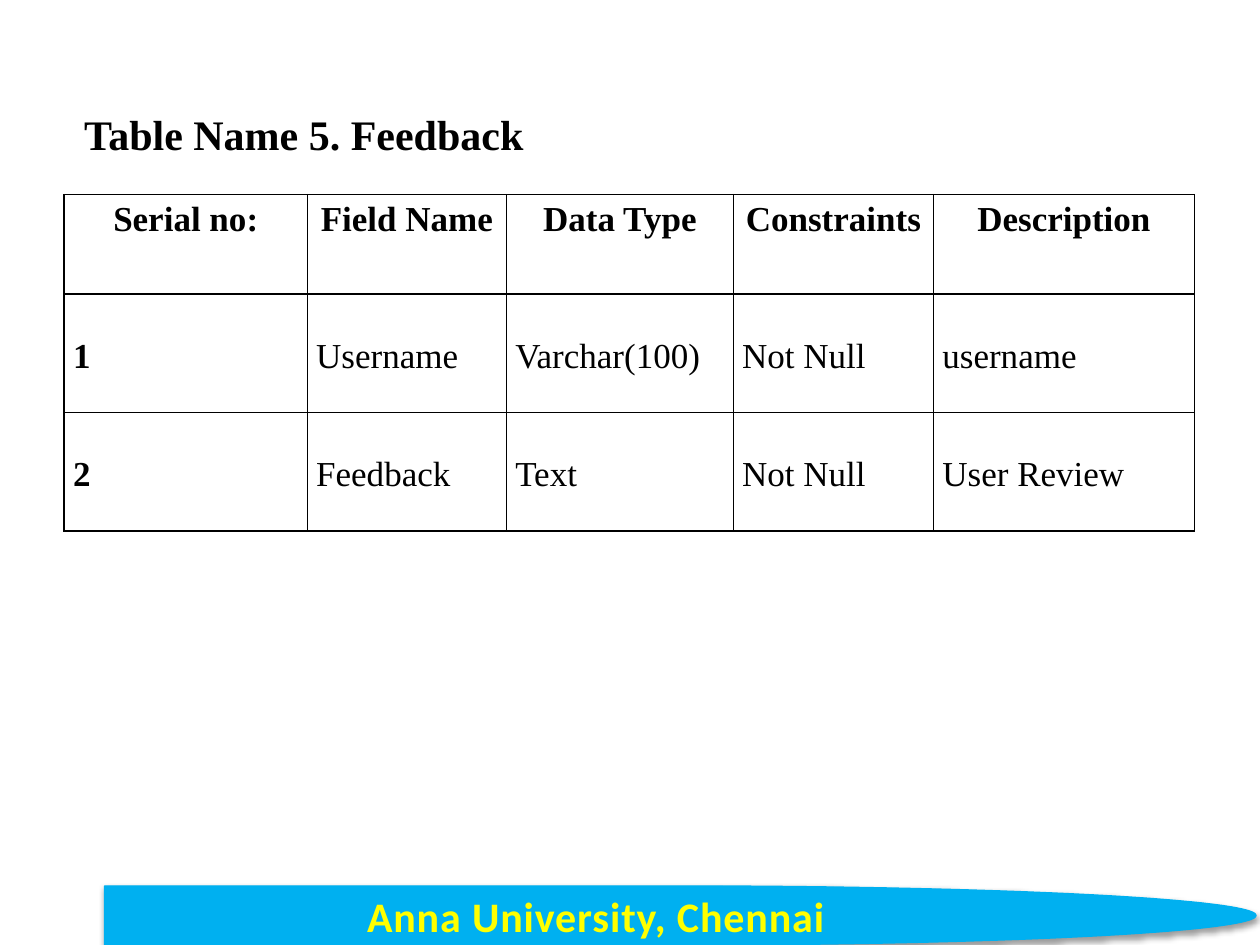
from dataclasses import dataclass

from lxml.etree import SubElement
from pptx import Presentation
from pptx.dml.color import RGBColor
from pptx.enum.shapes import MSO_SHAPE as Preset
from pptx.enum.text import MSO_ANCHOR as Anchor, PP_ALIGN as Align
from pptx.oxml import parse_xml
from pptx.oxml.ns import nsdecls, qn
from pptx.util import Inches, Pt

SLIDE_W, SLIDE_H = Inches(10), Inches(7.5)
BLACK, WHITE, BLUE, YELLOW, ORANGE = "000000", "FFFFFF", "00B0F0", "FFFF00", "E78738"
SERIF, SANS = "Times New Roman", "Calibri"


@dataclass(frozen=True)
class Area:
    """Place on the slide, in shares of its width and height."""
    left: float
    top: float
    width: float
    height: float

    def box(self) -> tuple[int, int, int, int]:
        return (int(self.left * SLIDE_W), int(self.top * SLIDE_H),
                int(self.width * SLIDE_W), int(self.height * SLIDE_H))


@dataclass(frozen=True)
class TextStyle:
    size: int
    bold: bool = False
    color: str = BLACK
    font: str = SERIF
    align: Align = Align.LEFT
    spacing: float = 1.15


HEADING = TextStyle(24, bold=True)
COLUMN_HEAD = TextStyle(20, bold=True, align=Align.CENTER)
SERIAL = TextStyle(20, bold=True)
ENTRY = TextStyle(20)
FOOTER = TextStyle(24, True, YELLOW, SANS, Align.CENTER, 1.0)

COLUMN_WIDTHS = (1.93, 1.58, 1.8, 1.59, 2.07)
ROW_HEIGHTS = (0.79, 0.94, 0.94)
FIELDS = (
    ("Serial no:", "Field Name", "Data Type", "Constraints", "Description"),
    ("1", "Username", "Varchar(100)", "Not Null", "username"),
    ("2", "Feedback", "Text", "Not Null", "User Review"),
)


def rgb(color: str) -> RGBColor:
    return RGBColor.from_string(color)


def line_xml(tag: str, color: str) -> str:
    return (f'<a:{tag} {nsdecls("a")} w="12700"><a:solidFill>'
            f'<a:srgbClr val="{color}"/></a:solidFill></a:{tag}>')


def write(frame, text: str, style: TextStyle):
    paragraph = frame.paragraphs[0]
    paragraph.alignment = style.align
    paragraph.line_spacing = style.spacing
    run = paragraph.add_run()
    run.text = text
    run.font.name, run.font.size, run.font.bold = style.font, Pt(style.size), style.bold
    run.font.color.rgb = rgb(style.color)
    return run


def draw_footer(slide, area: Area, text: str) -> None:
    band = slide.shapes.add_shape(Preset.FLOWCHART_DELAY, *area.box())
    band.fill.solid()
    band.fill.fore_color.rgb = rgb(BLUE)
    band.line.color.rgb = rgb(BLUE)
    band.line.width = Pt(0.75)
    # Soft shadow straight below the band
    band.shadow.inherit = False
    effects = band._element.spPr.find(qn("a:effectLst"))
    shadow = SubElement(effects, qn("a:outerShdw"), blurRad="40000", dist="20000",
                        dir="5400000", rotWithShape="0")
    shade = SubElement(shadow, qn("a:srgbClr"), val=BLACK)
    SubElement(shade, qn("a:alpha"), val="38000")
    # Spaced, outlined lettering
    band.text_frame.word_wrap = True
    band.text_frame.vertical_anchor = Anchor.MIDDLE
    lettering = write(band.text_frame, text, FOOTER).font._element
    lettering.set("spc", "50")
    lettering.insert(0, parse_xml(line_xml("ln", ORANGE)))


def draw_heading(slide, area: Area, text: str) -> None:
    frame = slide.shapes.add_textbox(*area.box()).text_frame
    frame.word_wrap = True
    write(frame, text, HEADING)


def fill_cell(cell, text: str, style: TextStyle, anchor: Anchor) -> None:
    cell.fill.solid()
    cell.fill.fore_color.rgb = rgb(WHITE)
    cell.margin_left = cell.margin_right = Inches(0.07)
    cell.margin_top = cell.margin_bottom = 0
    cell.vertical_anchor = anchor
    write(cell.text_frame, text, style)
    properties = cell._tc.get_or_add_tcPr()
    for order, side in enumerate(("lnL", "lnR", "lnT", "lnB")):
        properties.insert(order, parse_xml(line_xml(side, BLACK)))


def draw_fields(slide, area: Area) -> None:
    table = slide.shapes.add_table(len(FIELDS), len(COLUMN_WIDTHS), *area.box()).table
    table.first_row = table.horz_banding = False
    for column, width in zip(table.columns, COLUMN_WIDTHS):
        column.width = Inches(width)
    for row, height in zip(table.rows, ROW_HEIGHTS):
        row.height = Inches(height)
    for r, record in enumerate(FIELDS):
        for c, text in enumerate(record):
            style = COLUMN_HEAD if r == 0 else SERIAL if c == 0 else ENTRY
            fill_cell(table.cell(r, c), text, style, Anchor.MIDDLE if r else Anchor.TOP)


def main() -> None:
    deck = Presentation()
    deck.slide_width, deck.slide_height = SLIDE_W, SLIDE_H
    slide = deck.slides.add_slide(deck.slide_layouts[6])
    draw_footer(slide, Area(0.083, 0.9375, 0.914, 0.0625), "Anna University, Chennai")
    draw_fields(slide, Area(0.051, 0.206, 0.897, 0.356))
    draw_heading(slide, Area(0.057, 0.1, 0.42, 0.076), "Table Name 5. Feedback")
    deck.save("out.pptx")


if __name__ == "__main__":
    main()
